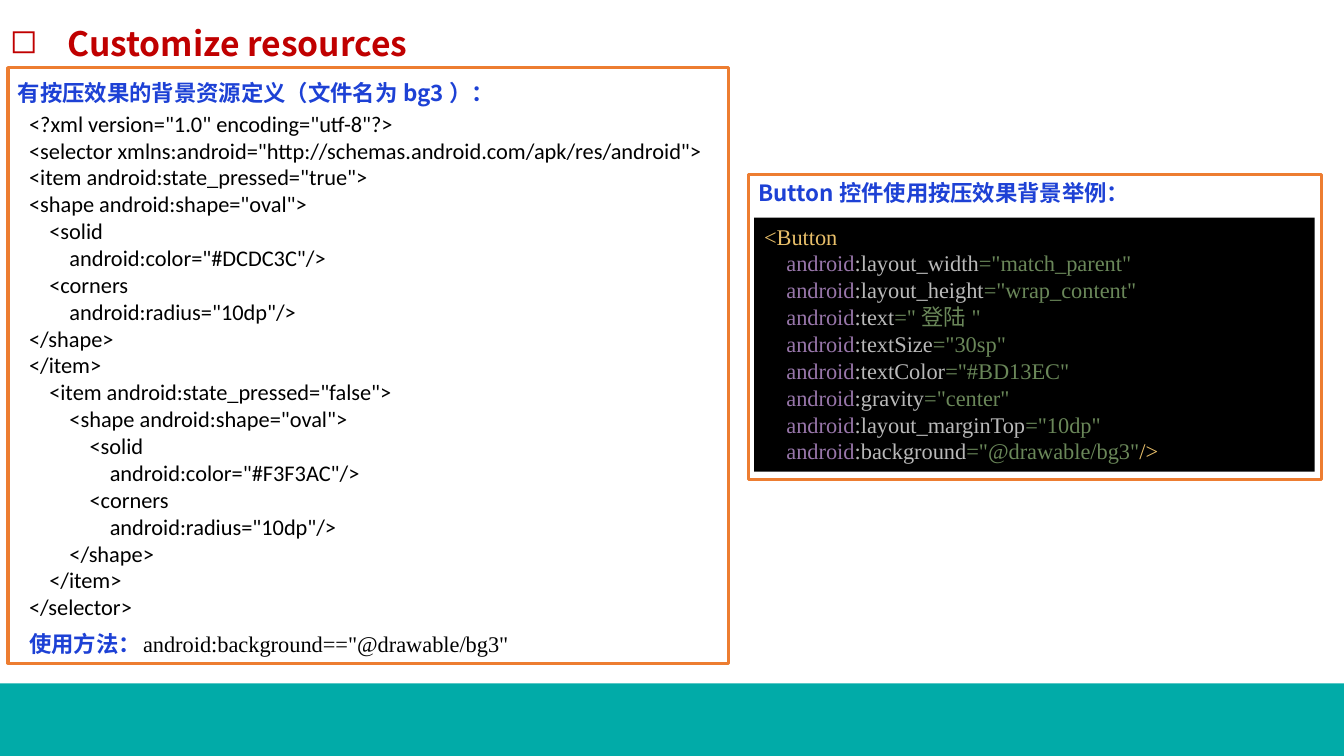
from lxml import etree
from pptx import Presentation
from pptx.dml.color import RGBColor
from pptx.enum.shapes import MSO_SHAPE
from pptx.enum.text import MSO_ANCHOR, PP_ALIGN
from pptx.oxml.ns import qn
from pptx.util import Inches, Pt

RECTANGLE = MSO_SHAPE.RECTANGLE
TOP = MSO_ANCHOR.TOP
LEFT, JUSTIFY = PP_ALIGN.LEFT, PP_ALIGN.JUSTIFY

SELECTOR_XML = """<?xml version="1.0" encoding="utf-8"?>
<selector xmlns:android="http://schemas.android.com/apk/res/android">
<item android:state_pressed="true">
<shape android:shape="oval">
    <solid
        android:color="#DCDC3C"/>
    <corners
        android:radius="10dp"/>
</shape>
</item>
    <item android:state_pressed="false">
        <shape android:shape="oval">
            <solid
                android:color="#F3F3AC"/>
            <corners
                android:radius="10dp"/>
        </shape>
    </item>
</selector>"""

BUTTON_ATTRIBUTES = {
    "layout_width": "match_parent",
    "layout_height": "wrap_content",
    "text": "登陆",
    "textSize": "30sp",
    "textColor": "#BD13EC",
    "gravity": "center",
    "layout_marginTop": "10dp",
    "background": "@drawable/bg3",
}


def color(value):
    return RGBColor.from_string(value)


class SlideBuilder:
    """Holds the style and the current slide, and draws each kind of element."""

    HEADING = {"name": "Noto Sans CJK SC", "size": Pt(16), "bold": True}
    SERIF = {"name": "Times New Roman", "size": Pt(16)}
    SANS = {"name": "Calibri", "size": Pt(16)}
    BLACK, TEAL, ORANGE, BLUE, RED = "000000", "01ABA8", "ED7D31", "1D41D5", "C00000"
    TAG, PREFIX, NAME, VALUE = "E8BF6A", "9876AA", "BABABA", "6A8759"

    def __init__(self, page):
        self.page = page

    def rectangle(self, left, top, width, height, fill=None, line=None):
        box = self.page.shapes.add_shape(
            RECTANGLE, Inches(left), Inches(top), Inches(width), Inches(height))
        box.shadow.inherit = False
        if fill:
            box.fill.solid()
            box.fill.fore_color.rgb = color(fill)
        else:
            box.fill.background()
        if line:
            box.line.color.rgb = color(line)
            box.line.width = Pt(2.25)
        else:
            box.line.fill.background()
        return box

    def fill_text(self, box, lines, style, align=LEFT):
        frame = box.text_frame
        frame.word_wrap = True
        frame.vertical_anchor = TOP
        for index, spans in enumerate(lines):
            para = frame.paragraphs[0] if index == 0 else frame.add_paragraph()
            para.alignment = align
            for text, shade in spans:
                span = para.add_run()
                span.text = text
                for key, value in style.items():
                    setattr(span.font, key, value)
                span.font.color.rgb = color(shade)
                east_asian = etree.SubElement(span.font._element, qn("a:ea"))
                east_asian.set("typeface", self.HEADING["name"])

    def text(self, left, top, width, height, lines, style, align=LEFT):
        box = self.page.shapes.add_textbox(
            Inches(left), Inches(top), Inches(width), Inches(height))
        self.fill_text(box, lines, style, align)
        return box

    def label(self, left, top, width, text):
        self.text(left, top, width, 0.37, [[(text, self.BLUE)]], self.HEADING)

    def title(self, text):
        style = {**self.HEADING, "size": Pt(24)}
        box = self.text(0, -0.22, 12.79, 0.91, [[(text, self.RED)]], style)
        para = box.text_frame.paragraphs[0]
        para.line_spacing = 2.0
        properties = para._p.get_or_add_pPr()
        properties.set("marL", str(Inches(0.57)))
        properties.set("indent", str(-Inches(0.57)))
        etree.SubElement(properties, qn("a:buChar")).set("char", "◻")

    def button_code(self):
        lines = [[("<Button", self.TAG)]]
        for name, value in BUTTON_ATTRIBUTES.items():
            lines.append([("    ", self.TAG), ("android", self.PREFIX),
                          (f":{name}", self.NAME), (f'="{value}"', self.VALUE)])
        lines[-1].append(("/>", self.TAG))
        box = self.rectangle(7.48, 2.16, 5.56, 2.52, fill=self.BLACK)
        self.fill_text(box, lines, self.SERIF)


def main():
    deck = Presentation()
    deck.slide_width, deck.slide_height = Inches(13.33), Inches(7.5)
    builder = SlideBuilder(deck.slides.add_slide(deck.slide_layouts[6]))

    builder.rectangle(0, 6.78, 13.33, 0.72, fill=builder.TEAL)
    builder.title("Customize resources")

    builder.label(0.08, 0.74, 5.2, "有按压效果的背景资源定义（文件名为bg3）：")
    builder.rectangle(0.08, 0.67, 7.15, 5.91, line=builder.ORANGE)
    builder.label(0.19, 6.2, 1.34, "使用方法：")
    usage = 'android:background=="@drawable/bg3"'
    builder.text(1.32, 6.2, 4.08, 0.37, [[(usage, builder.BLACK)]], builder.SERIF)
    selector = [[(line, builder.BLACK)] for line in SELECTOR_XML.splitlines()]
    builder.text(0.19, 1.04, 7.42, 5.22, selector, builder.SANS, JUSTIFY)

    builder.button_code()
    builder.label(7.42, 1.73, 4.72, "Button控件使用按压效果背景举例：")
    builder.rectangle(7.42, 1.73, 5.69, 3.03, line=builder.ORANGE)

    deck.save("out.pptx")


if __name__ == "__main__":
    main()
